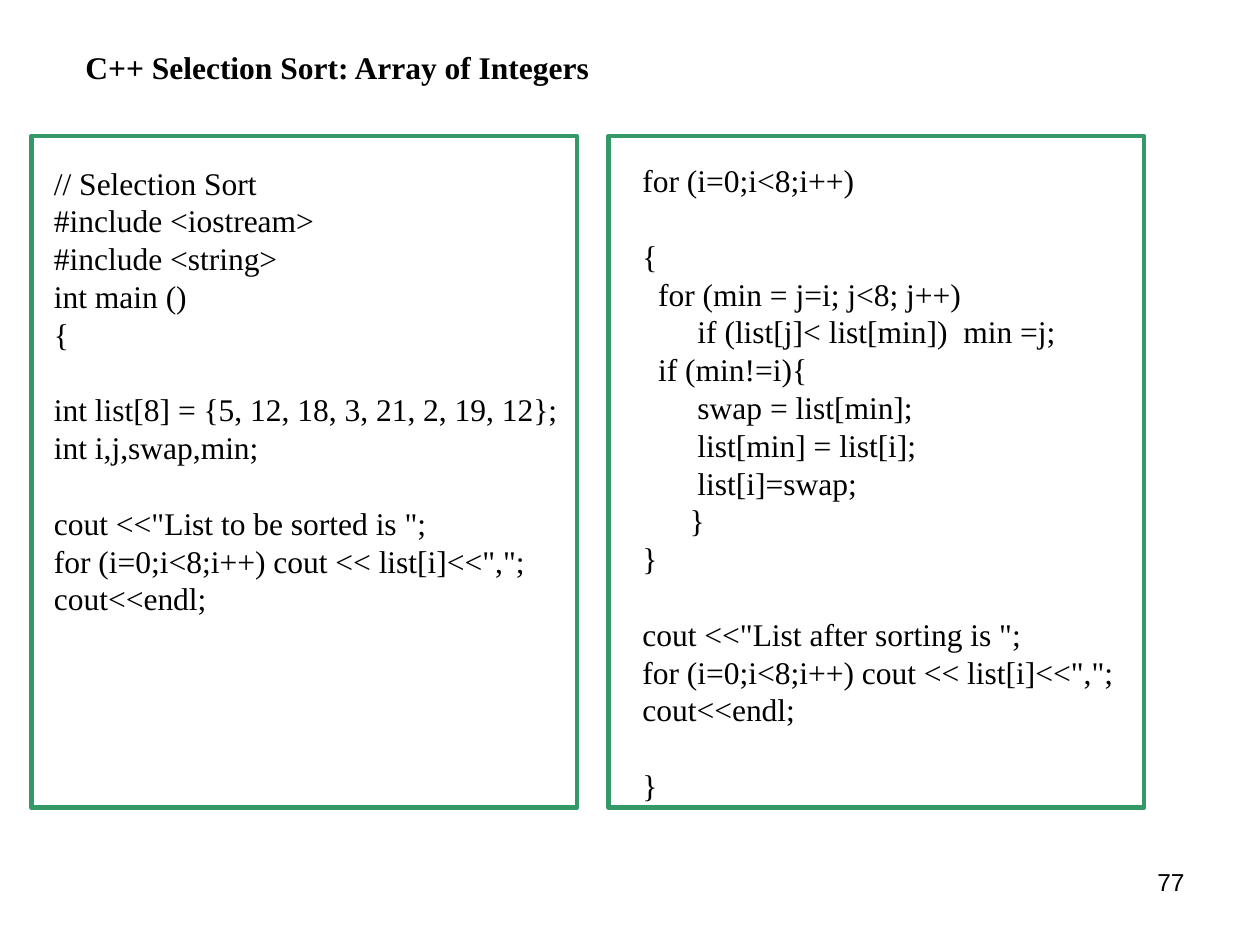
from pptx import Presentation
from pptx.dml.color import RGBColor
from pptx.enum.shapes import MSO_SHAPE
from pptx.enum.text import PP_ALIGN
from pptx.util import Inches, Pt

RECT = MSO_SHAPE.RECTANGLE
LEFT, RIGHT = PP_ALIGN.LEFT, PP_ALIGN.RIGHT
THEME = {
    "ink": RGBColor(0, 0, 0),
    "frame": RGBColor(0x33, 0x99, 0x66),
    "serif": "Times New Roman",
    "sans": "Arial",
    "body": 18,
    "small": 14,
    "pitch": 1.2,
    "border": 2.75,
}

SETUP = """// Selection Sort
#include <iostream>
#include <string>
int main ()
{

int list[8] = {5, 12, 18, 3, 21, 2, 19, 12};
int i,j,swap,min;

cout <<"List to be sorted is ";
for (i=0;i<8;i++) cout << list[i]<<",";
cout<<endl;"""

SORT = """for (i=0;i<8;i++)

{
  for (min = j=i; j<8; j++)
       if (list[j]< list[min])  min =j;
  if (min!=i){
       swap = list[min];
       list[min] = list[i];
       list[i]=swap;
      }
}

cout <<"List after sorting is ";
for (i=0;i<8;i++) cout << list[i]<<",";
cout<<endl;

}"""

deck = Presentation()
deck.slide_width, deck.slide_height = Inches(10), Inches(7.5)
slide = deck.slides.add_slide(deck.slide_layouts[6])


def add_text(box, text, face="serif", size="body", bold=False, align=LEFT, top=0.05):
    frame = slide.shapes.add_textbox(*map(Inches, box)).text_frame
    frame.word_wrap = True
    frame.margin_top = Inches(top)
    pitch = Pt(THEME[size] * THEME["pitch"])
    form = {"name": THEME[face], "size": Pt(THEME[size]), "bold": bold}
    para, gap = None, 0
    for line in text.split("\n"):
        if not line:
            gap += pitch
            continue
        para = frame.add_paragraph() if para else frame.paragraphs[0]
        para.alignment = align
        para.line_spacing = pitch
        if gap:
            para.space_before = gap
        gap = 0
        run = para.add_run()
        run.text = line
        for key, value in form.items():
            setattr(run.font, key, value)
        run.font.color.rgb = THEME["ink"]


add_text((7.17, 6.83, 2.33, 0.52), "77", face="sans", size="small", align=RIGHT)
add_text((0.58, 0.33, 7.92, 0.4), "C++ Selection Sort: Array of Integers", bold=True)
add_text((0.33, 1.25, 4.33, 4.16), SETUP)
add_text((5, 0.83, 4.58, 6.36), SORT, top=0.45)

for left, width in ((0.25, 4.33), (4.83, 4.25)):
    panel = slide.shapes.add_shape(RECT, *map(Inches, (left, 1.08, width, 5.33)))
    panel.shadow.inherit = False
    panel.fill.background()
    panel.line.color.rgb = THEME["frame"]
    panel.line.width = Pt(THEME["border"])

deck.save("out.pptx")
